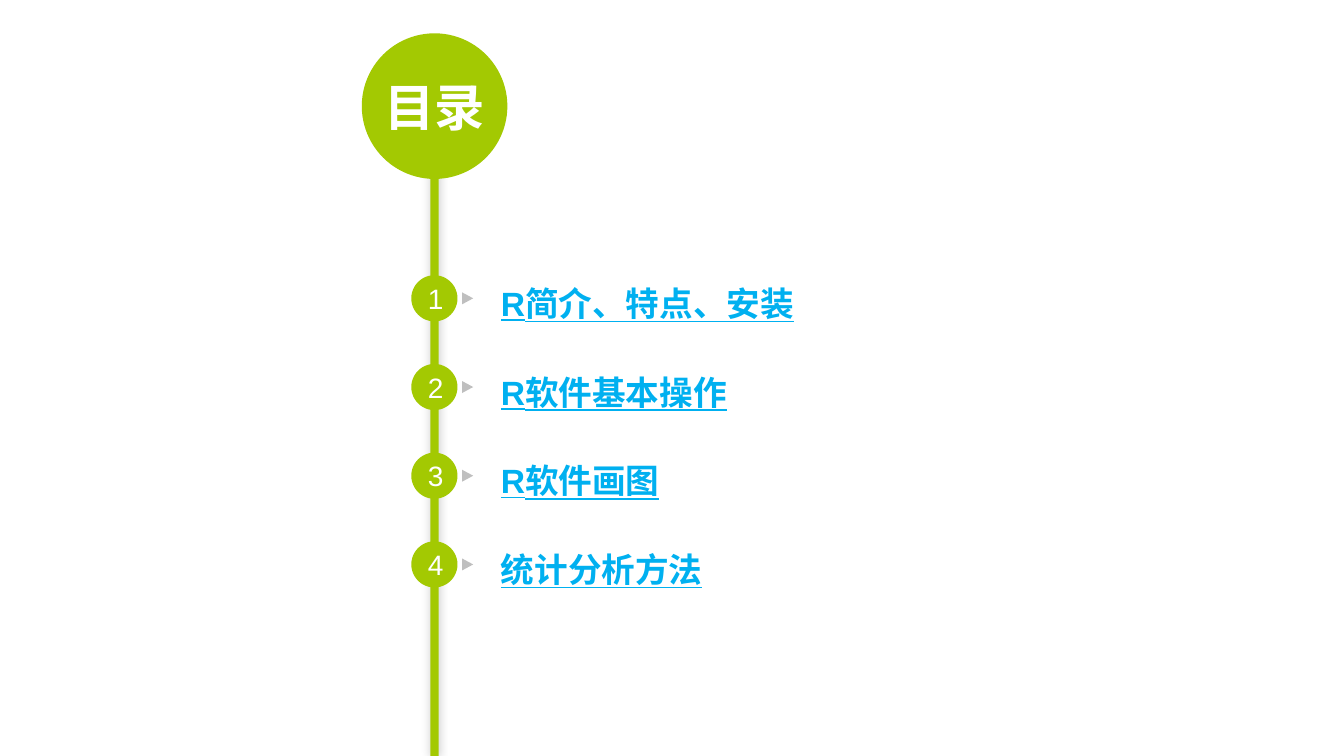
import pptx
import pptx.util
import pptx.dml.color
import pptx.enum.shapes
import pptx.enum.text
import pptx.oxml
import pptx.oxml.ns

Pt = pptx.util.Pt
MSO = pptx.enum.shapes.MSO_SHAPE
PP_ALIGN = pptx.enum.text.PP_ALIGN
ANCHOR = pptx.enum.text.MSO_ANCHOR
COLORS = {"green": "A3C902", "blue": "00B0F0", "grey": "BFBFBF", "white": "FFFFFF"}
TOPICS = ["R简介、特点、安装", "R软件基本操作", "R软件画图", "统计分析方法"]
SLIDE_W, SLIDE_H = 960, 540
PITCH = 63.36
LINE_H = 36


def rgb(name):
    """Return the named colour."""
    return pptx.dml.color.RGBColor.from_string(COLORS[name])


def add_flat(s, kind, x, y, w, h, color):
    """Add a filled preset shape without outline or shadow."""
    sp = s.shapes.add_shape(kind, Pt(x), Pt(y), Pt(w), Pt(h))
    sp.fill.solid()
    sp.fill.fore_color.rgb = rgb(color)
    sp.line.fill.background()
    sp.shadow.inherit = False
    return sp


def place(sp, x, y, w, h, anchor):
    """Move a placeholder and clear its insets and autofit."""
    sp.left, sp.top, sp.width, sp.height = Pt(x), Pt(y), Pt(w), Pt(h)
    tf = sp.text_frame
    tf.margin_left = tf.margin_top = tf.margin_right = tf.margin_bottom = 0
    tf.word_wrap = True
    tf.auto_size = pptx.enum.text.MSO_AUTO_SIZE.NONE
    tf.vertical_anchor = anchor
    return tf


def style(p, size, color, bold=False):
    """Set the font of a paragraph."""
    p.font.name = "Arial"
    p.font.size = Pt(size)
    p.font.bold = bold
    p.font.color.rgb = rgb(color)


def add_stem(s, x, y, w, h):
    """Draw the vertical bar with its soft shadow."""
    bar = add_flat(s, MSO.RECTANGLE, x, y, w, h, "green")
    effects = bar.element.spPr.find(pptx.oxml.ns.qn("a:effectLst"))
    effects.append(pptx.oxml.parse_xml(
        f'<a:outerShdw {pptx.oxml.ns.nsdecls("a")} blurRad="{Pt(6)}" dist="0" '
        'dir="13500000"><a:srgbClr val="000000"><a:alpha val="20000"/>'
        '</a:srgbClr></a:outerShdw>'))
    s.shapes.title.element.addprevious(bar.element)


def add_heading(s, x, y, size):
    """Set the title on a round badge."""
    title = s.shapes.title
    badge = add_flat(s, MSO.OVAL, x, y, size, size, "green")
    title.element.addprevious(badge.element)
    tf = place(title, x, y, size, size, ANCHOR.MIDDLE)
    tf.text = "目录"
    p = tf.paragraphs[0]
    p.alignment = PP_ALIGN.CENTER
    style(p, 36, "white", True)


def add_markers(s, x, y, size):
    """Draw the numbered dots, each with its pointer."""
    for i in range(len(TOPICS)):
        top = y + i * PITCH
        dot = add_flat(s, MSO.OVAL, x, top, size, size, "green")
        tf = dot.text_frame
        tf.vertical_anchor = ANCHOR.MIDDLE
        tf.text = str(i + 1)
        p = tf.paragraphs[0]
        p.alignment = PP_ALIGN.CENTER
        style(p, 20, "white")
        pointer = add_flat(s, MSO.ISOSCELES_TRIANGLE, x + size + 2.9,
                           top + size / 2 - 4, 8.6, 8, "grey")
        pointer.rotation = 90


def add_topics(s, x, y, w):
    """Fill the body placeholder with one topic per row."""
    tf = place(s.placeholders[1], x, y, w, PITCH * len(TOPICS), ANCHOR.TOP)
    tf.text = "\n".join(TOPICS)
    for p in tf.paragraphs:
        style(p, 24, "blue", True)
        p.font.underline = True
        p.alignment = PP_ALIGN.LEFT
        p.line_spacing = Pt(LINE_H)
        p.space_before = Pt(0)
        p.space_after = Pt(PITCH - LINE_H)
        pPr = p._p.get_or_add_pPr()
        pPr.set("marL", "0")
        pPr.set("indent", "0")
        bullet = pptx.oxml.parse_xml(f'<a:buNone {pptx.oxml.ns.nsdecls("a")}/>')
        pPr.find(pptx.oxml.ns.qn("a:spcAft")).addnext(bullet)


def add_contents(s, x, y, w, h):
    """Lay out the contents slide inside the given box."""
    add_stem(s, x + 49, y + 51, 6, h - 51)
    add_heading(s, x, y, 104)
    add_markers(s, x + 35.4, y + 172.8, 33)
    add_topics(s, x + 99.4, y + 171, w - 99.4)


def main():
    """Build and save the deck."""
    prs = pptx.Presentation()
    prs.slide_width, prs.slide_height = Pt(SLIDE_W), Pt(SLIDE_H)
    s = prs.slides.add_slide(prs.slide_layouts[1])
    add_contents(s, 258.4, 23.8, 520, SLIDE_H - 23.8)
    prs.save("out.pptx")


if __name__ == "__main__":
    main()
